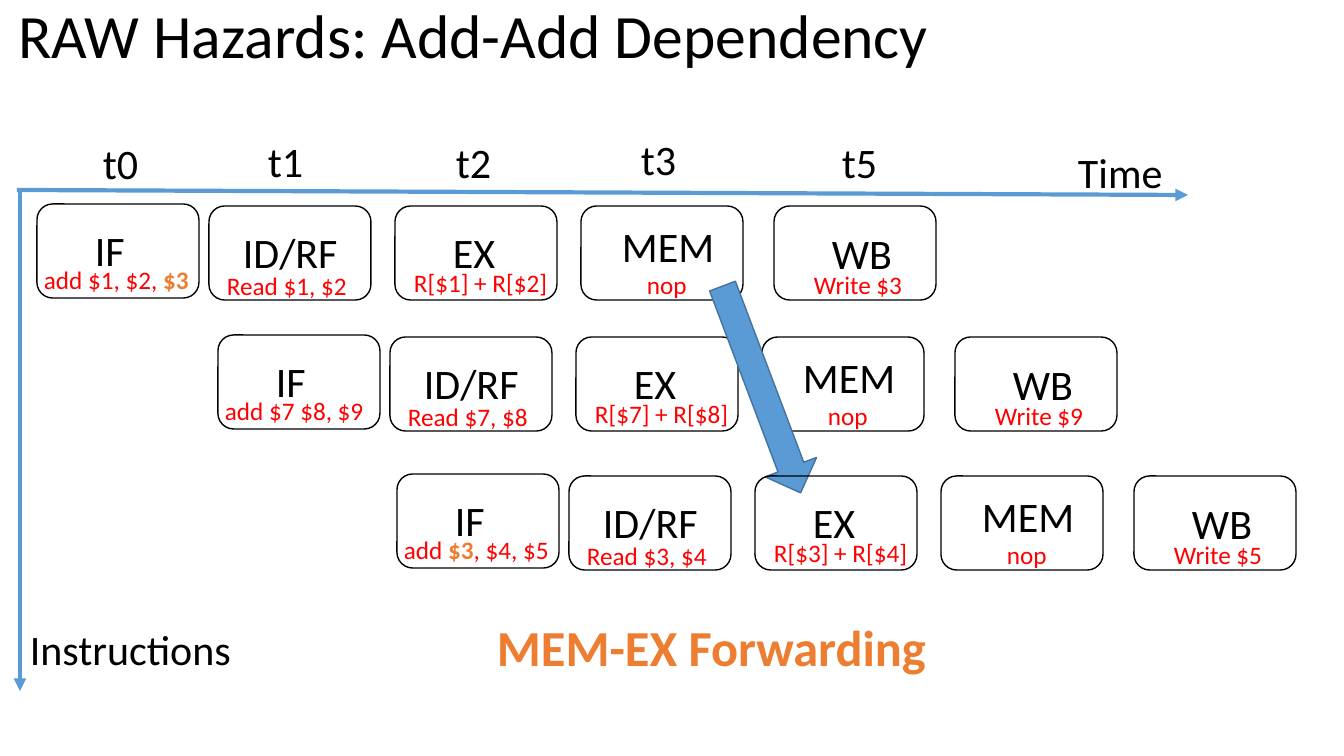
"""Build a slide on forwarding between dependent add instructions in a pipeline."""
from lxml import etree
from pptx import Presentation
from pptx import util as u
from pptx.dml.color import RGBColor
from pptx.enum import shapes, text
from pptx.oxml.ns import qn

PX = 914400 / 100.8
BLACK, RED, ORANGE, BLUE, NAVY = "000000", "FF0000", "ED7D31", "5B9BD5", "43739E"


def color(fmt, value):
    fmt.rgb = RGBColor.from_string(value)


def write(sp, wording, size, hue, **frame):
    tf = sp.text_frame
    for name, value in frame.items():
        setattr(tf, name, value)
    p = tf.paragraphs[0]
    p.alignment = text.PP_ALIGN.LEFT
    for i, part in enumerate(wording.split("*")):
        if part:
            r = p.add_run()
            r.text = part
            marked = i % 2 == 1
            for name, value in {"name": "Calibri", "size": u.Pt(size), "bold": marked}.items():
                setattr(r.font, name, value)
            color(r.font.color, ORANGE if marked else hue)
    return p


prs = Presentation()
prs.slide_width, prs.slide_height = u.Inches(13.333), u.Inches(7.5)
s = prs.slides.add_slide(prs.slide_layouts[5])

title = s.shapes.title
box = {"left": 8, "top": -34, "width": 1159, "height": 146}
for name, value in box.items():
    setattr(title, name, round(value * PX))
p = write(title, "RAW Hazards: Add-Add Dependency", 44, BLACK, word_wrap=True,
          auto_size=text.MSO_AUTO_SIZE.NONE, vertical_anchor=text.MSO_ANCHOR.MIDDLE)
p.line_spacing = 0.9

for ends in [(17, 190, 1188, 195), (20, 190, 20, 691)]:
    axis = s.shapes.add_connector(shapes.MSO_CONNECTOR.STRAIGHT, *[round(v * PX) for v in ends])
    axis.line.width = u.Pt(3)
    color(axis.line.color, BLUE) if axis.line.fill.solid() else color(axis.line.fill.fore_color, BLUE)
    etree.SubElement(axis.line._get_or_add_ln(), qn("a:tailEnd"), type="triangle")
    etree.SubElement(axis._element.spPr, qn("a:effectLst"))

labels = [
    ("Time", 1068, 142, 106, 61, 30), ("Instructions", 20, 619, 224, 61, 30),
    ("t0", 93, 133, 56, 61, 30), ("t1", 258, 131, 56, 61, 30), ("t2", 446, 132, 56, 61, 30),
    ("t3", 631, 129, 56, 61, 30), ("t5", 832, 132, 56, 61, 30),
    ("*MEM-EX Forwarding*", 487, 611, 454, 71, 36),
]
stages = [
    ("IF", (0, 0), (48, 16, 50), (-3, 55, 167)),
    ("ID/RF", (172, 2), (196, 18, 116), (180, 61, 142)),
    ("EX", (358, 2), (406, 18, 63), (367, 58, 155)),
    ("MEM", (544, 2), (575, 12, 114), (600, 60, 60)),
    ("WB", (737, 2), (785, 19, 82), (767, 60, 110)),
]
instructions = [
    (37, 204, ["add $1, $2, *$3*", "Read $1, $2", "R[$1] + R[$2]", "nop", "Write $3"]),
    (218, 335, ["add $7 $8, $9", "Read $7, $8", "R[$7] + R[$8]", "nop", "Write $9"]),
    (397, 474, ["add *$3*, $4, $5", "Read $3, $4", "R[$3] + R[$4]", "nop", "Write $5"]),
]

blocks = []
for x, y, notes in instructions:
    if notes is instructions[-1][2]:
        blocks.append(("RIGHT_ARROW", 651, 362, 221, 55))
    for (stage, (bx, by), (sx, sy, sw), (nx, ny, nw)), note in zip(stages, notes):
        blocks.append(("ROUNDED_RECTANGLE", x + bx, y + by, 162, 94))
        labels.append((stage, x + sx, y + sy, sw, 61, 30))
        labels.append((note, x + nx, y + ny, nw, 40, 18))

for kind, *place in blocks:
    sp = s.shapes.add_shape(getattr(shapes.MSO_SHAPE, kind), *[round(v * PX) for v in place])
    sp.shadow.inherit = False
    sp.line.width = u.Pt(1)
    if kind == "RIGHT_ARROW":
        sp.rotation = 69.3
        sp.fill.solid()
        color(sp.fill.fore_color, BLUE)
        color(sp.line.color, NAVY)
    else:
        sp.fill.background()
        color(sp.line.color, BLACK)

for wording, *place, size in labels:
    sp = s.shapes.add_textbox(*[round(v * PX) for v in place])
    write(sp, wording, size, RED if size == 18 else BLACK, word_wrap=False,
          auto_size=text.MSO_AUTO_SIZE.SHAPE_TO_FIT_TEXT)

prs.save("out.pptx")
